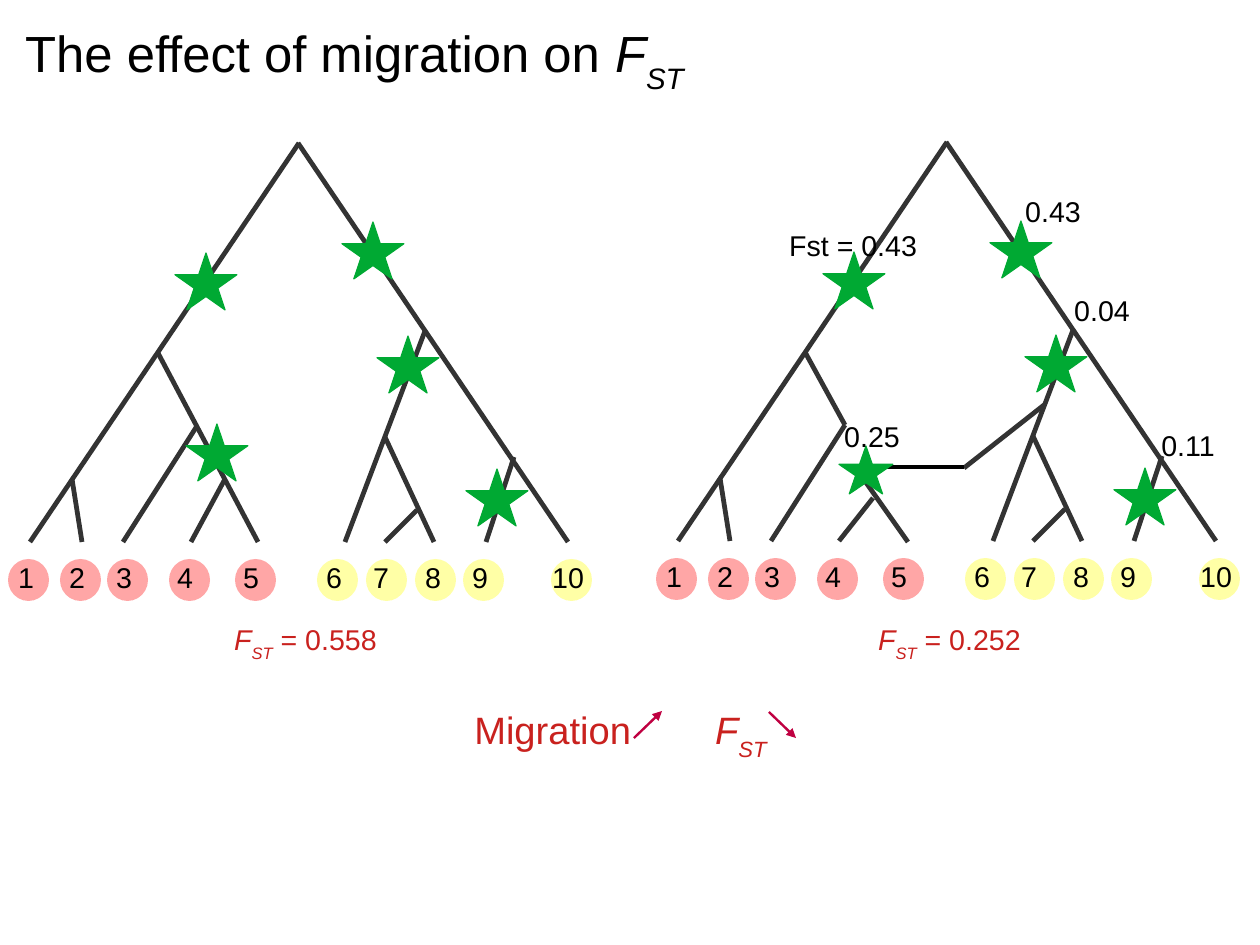
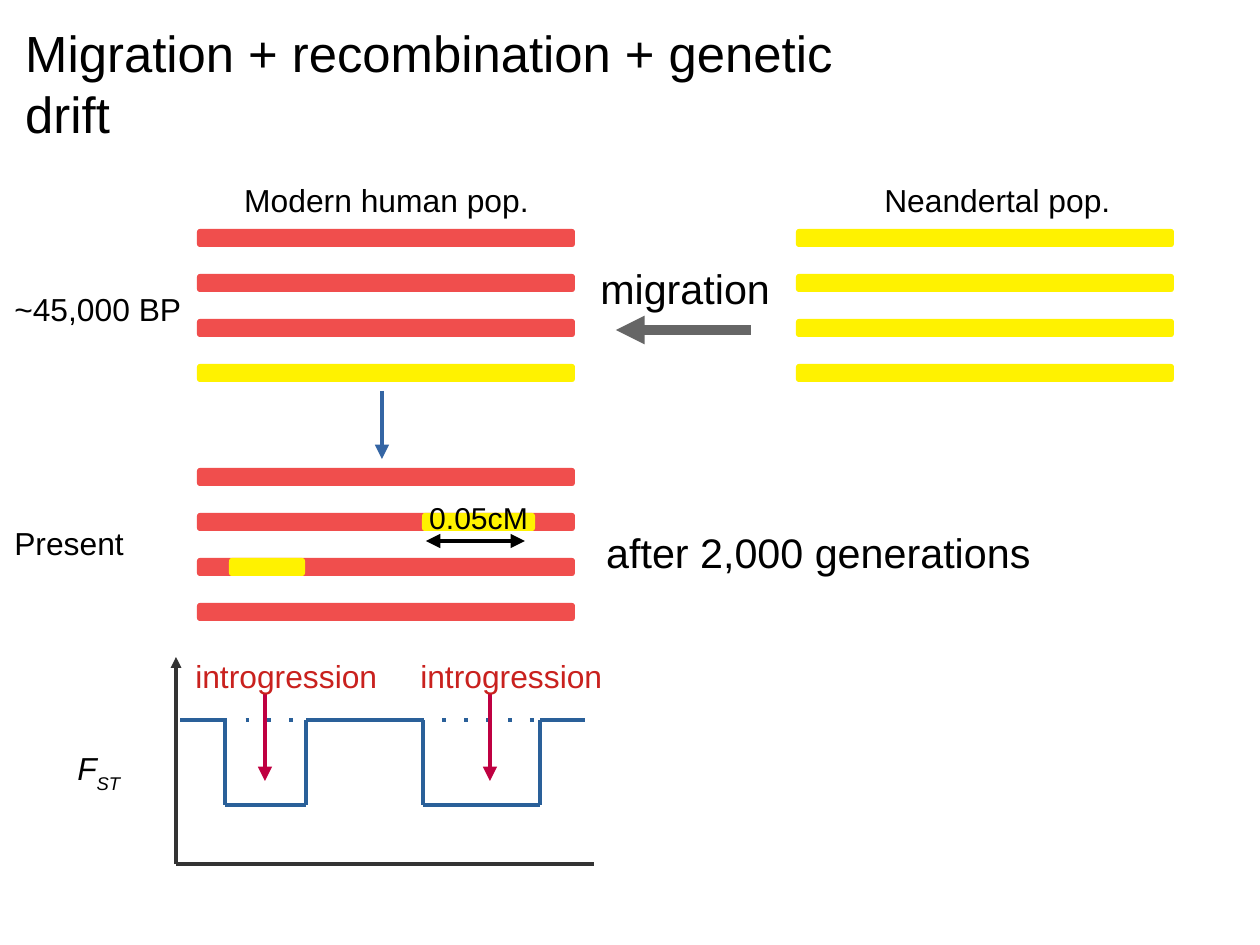
from lxml.etree import SubElement
from pptx import Presentation
from pptx.dml.color import RGBColor
from pptx.enum.shapes import MSO_CONNECTOR as Connector, MSO_SHAPE as Preset
from pptx.enum.text import PP_ALIGN as Align
from pptx.oxml.ns import qn
from pptx.util import Emu, Pt

PX = 8000  # EMU in one px
FONT = "Arial"
COLOURS = {
    "text": "000000", "accent": "C9211E", "branch": "333333", "star": "00A933",
    "pink": "FFA6A6", "cream": "FFFFA6", "red": "F04E4D", "yellow": "FFF200",
    "grey": "666666", "blue": "3465A4", "curve": "2A6099", "arrow": "BF0041",
}
FST = [("F", "i"), ("ST", "is")]  # styles: i italic, s subscript

# Tip number, circle left, label left
TIPS = [(1, 8, 7), (2, 60, 58), (3, 107, 105), (4, 169, 166), (5, 235, 232),
        (6, 317, 315), (7, 366, 362), (8, 415, 414), (9, 463, 461), (10, 551, 541)]
SHARED_BRANCHES = [
    (299, 0, 30, 399), (568, 399, 298, 0), (514, 314, 486, 399),
    (385, 294, 434, 399), (417, 367, 385, 399), (197, 283, 123, 399),
    (72, 336, 82, 399), (425, 188, 345, 399),
]
SHARED_STARS = [(175, 110), (377, 193), (466, 326), (342, 79)]


def px(length):
    return Emu(length * PX)


def rgb(name):
    return RGBColor.from_string(COLOURS[name])


def add_text(slide, left, top, width, height, runs, size, colour="text", align=Align.LEFT):
    frame = slide.shapes.add_textbox(px(left), px(top), px(width), px(height)).text_frame
    frame.word_wrap = True
    paragraph = frame.paragraphs[0]
    paragraph.alignment = align
    for text, style in [(runs, "")] if isinstance(runs, str) else runs:
        run = paragraph.add_run()
        run.text = text
        run.font.name = FONT
        run.font.size = Pt(size)
        run.font.italic = "i" in style
        run.font.color.rgb = rgb(colour)
        if "s" in style:
            run.font._element.set("baseline", "-33000")


def add_shape(slide, preset, left, top, width, height, colour, outlined=False):
    shape = slide.shapes.add_shape(preset, px(left), px(top), px(width), px(height))
    shape.shadow.inherit = False
    shape.fill.solid()
    shape.fill.fore_color.rgb = rgb(colour)
    if outlined:
        shape.line.color.rgb = rgb(colour)
        shape.line.width = Pt(0)
    else:
        shape.line.fill.background()


def add_line(slide, x1, y1, x2, y2, colour, weight=3, ends=(), dotted=False):
    line = slide.shapes.add_connector(Connector.STRAIGHT, px(x1), px(y1), px(x2), px(y2))
    line.line.color.rgb = rgb(colour)
    line.line.width = Pt(weight)
    outline = line.line._get_or_add_ln()
    if dotted:
        dash = SubElement(outline, qn("a:custDash"))
        SubElement(dash, qn("a:ds"), d="100000", sp="500000")
    for end in ends:
        SubElement(outline, qn(f"a:{end}"), type="triangle")
    SubElement(line._element.spPr, qn("a:effectLst"))


def add_slide(presentation, title, width, height):
    slide = presentation.slides.add_slide(presentation.slide_layouts[6])
    add_text(slide, 14, 16, width, height, title, 32)
    return slide


def draw_tree(slide, left, top, branches, small_star, migrants=(), labels=()):
    """Tree with numbered tips, measured from its root level."""
    for number, circle, _ in TIPS:
        add_shape(slide, Preset.OVAL, left + circle, top + 416, 41, 42,
                  "pink" if number <= 5 else "cream")
    lines = [(branch, "branch") for branch in SHARED_BRANCHES + branches]
    for (x1, y1, x2, y2), colour in lines + list(migrants):
        add_line(slide, left + x1, top + y1, left + x2, top + y2, colour)
    for number, _, label in TIPS:
        add_text(slide, left + label, top + 411, 45 if number < 10 else 63, 50,
                 str(number), 18)
    stars = [(x, y, 62, 57) for x, y in SHARED_STARS] + [small_star]
    for x, y, width, height in stars:
        add_shape(slide, Preset.STAR_5_POINT, left + x, top + y, width, height,
                  "star", outlined=True)
    for text, x, y, width in labels:
        add_text(slide, left + x, top + y, width, 45, text, 18)


def draw_chromosomes(slide, left, top, colours, inserts=()):
    """Evenly spaced bars; inserts are (row, offset, width)."""
    bars = [(row, 0, 378, colour) for row, colour in enumerate(colours)]
    bars += [(*insert, "yellow") for insert in inserts]
    for row, offset, width, colour in bars:
        add_shape(slide, Preset.FLOWCHART_ALTERNATE_PROCESS, left + offset,
                  top + row * 45, width, 18, colour)


def draw_fst_plot(slide, left, top):
    """Axes and a stepped curve with two dips."""
    high, low, base = top + 63, top + 148, top + 207
    add_line(slide, left, base, left, top, "branch", 2.3, ["tailEnd"])
    add_line(slide, left, base, left + 418, base, "branch", 2.3)
    edges = [left + x for x in (4, 49, 130, 247, 364, 409)]
    for index, (start, end) in enumerate(zip(edges, edges[1:])):
        level = low if index % 2 else high
        add_line(slide, start, level, end, level, "curve", 2.3)
    for edge in edges[1:-1]:
        add_line(slide, edge, high, edge, low, "curve", 2.3)
    add_line(slide, edges[0], high, edges[-1], high, "curve", 2.3, dotted=True)
    for offset in (89, 314):
        add_line(slide, left + offset, top + 37, left + offset, top + 124,
                 "arrow", 3, ["tailEnd"])
        add_text(slide, left + offset - 81, top - 6, 213, 57, "introgression", 20, "accent")
    add_text(slide, left - 110, top + 86, 105, 57, FST, 20)


def build_migration_slide(presentation):
    slide = add_slide(presentation, [("The effect of migration on ", "")] + FST, 794, 91)
    # Tree without migration, then tree with migration
    draw_tree(slide, 0, 143,
              [(158, 210, 258, 399), (225, 336, 191, 399)], (186, 281, 62, 57))
    draw_tree(slide, 648, 142,
              [(157, 210, 197, 283), (225, 356, 191, 399), (207, 325, 260, 400),
               (396, 263, 316, 326)],
              (191, 304, 54, 48),
              migrants=[((207, 325, 316, 325), "text")],
              labels=[("Fst = 0.43", 130, 80, 162), ("0.25", 185, 271, 86),
                      ("0.43", 366, 46, 86), ("0.04", 415, 145, 86),
                      ("0.11", 502, 280, 86)])
    for left, value in ((193, "0.558"), (837, "0.252")):
        add_text(slide, left, 616, 225, 58, FST + [(f" = {value}", "")], 18,
                 "accent", Align.CENTER)
    # Conclusion
    add_text(slide, 463, 701, 183, 63, "Migration", 24, "accent")
    add_text(slide, 704, 701, 91, 63, FST, 24, "accent")
    add_line(slide, 634, 738, 662, 711, "arrow", 1.5, ["tailEnd"])
    add_line(slide, 769, 712, 796, 738, "arrow", 1.5, ["tailEnd"])


def build_recombination_slide(presentation):
    slide = add_slide(presentation, "Migration + recombination + genetic drift", 922, 150)
    # Past populations
    draw_chromosomes(slide, 796, 229, ["yellow"] * 4)
    draw_chromosomes(slide, 197, 229, ["red"] * 3 + ["yellow"])
    add_line(slide, 751, 330, 616, 330, "grey", 6, ["tailEnd"])
    # Present population
    draw_chromosomes(slide, 197, 468, ["red"] * 4, [(1, 225, 113), (2, 32, 76)])
    add_line(slide, 382, 391, 382, 459, "blue", 3, ["tailEnd"])
    add_line(slide, 426, 541, 525, 541, "text", 3, ["headEnd", "tailEnd"])
    # Labels
    for text, left, top, width, size in (
            ("Modern human pop.", 233, 175, 331, 20),
            ("Neandertal pop.", 873, 175, 265, 20),
            ("migration", 589, 258, 213, 26),
            ("~45,000 BP", 3, 284, 202, 20),
            ("Present", 3, 518, 202, 20),
            ("0.05cM", 418, 494, 137, 19),
            ("after 2,000 generations", 595, 522, 646, 26)):
        add_text(slide, left, top, width, 57, text, size)
    draw_fst_plot(slide, 176, 657)


def main():
    presentation = Presentation()
    presentation.slide_width, presentation.slide_height = px(1260), px(945)
    build_migration_slide(presentation)
    build_recombination_slide(presentation)
    presentation.save("out.pptx")


if __name__ == "__main__":
    main()
